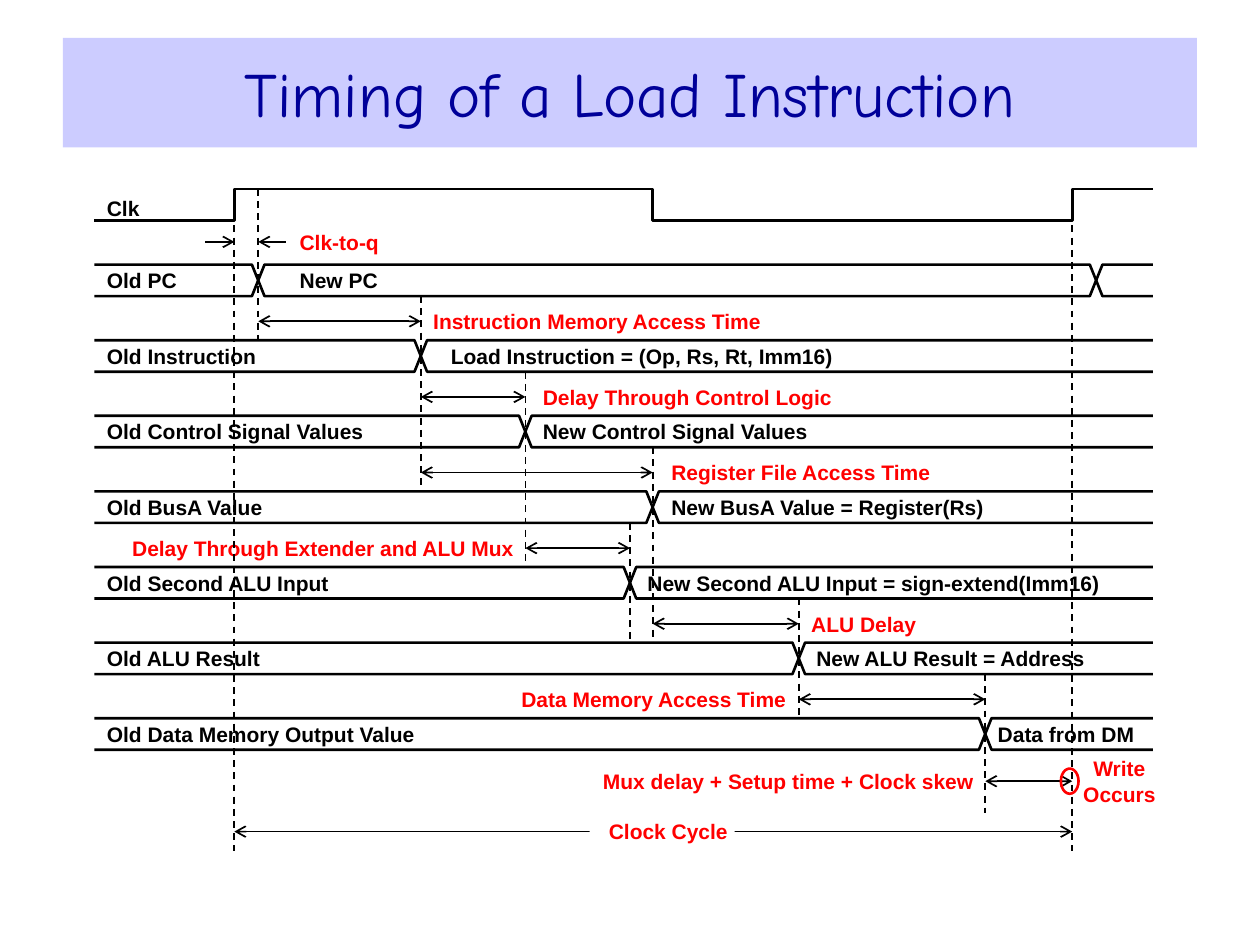
from dataclasses import dataclass

from lxml.etree import SubElement
from pptx import Presentation
from pptx.dml.color import RGBColor
from pptx.enum.dml import MSO_LINE
from pptx.enum.shapes import MSO_CONNECTOR, MSO_SHAPE
from pptx.enum.text import MSO_ANCHOR, PP_ALIGN
from pptx.oxml.ns import qn
from pptx.slide import Slide
from pptx.util import Cm, Pt


@dataclass(frozen=True)
class Theme:
    ink: RGBColor = RGBColor(0, 0, 0)
    accent: RGBColor = RGBColor(0xFF, 0, 0)
    paper: RGBColor = RGBColor(0xFF, 0xFF, 0xFF)
    banner: RGBColor = RGBColor(0xCC, 0xCC, 0xFF)
    title: RGBColor = RGBColor(0, 0, 0x99)
    title_font: str = "Comic Neue"
    label_font: str = "Arial"
    title_size: Pt = Pt(36)
    label_size: Pt = Pt(12)
    wave_width: Pt = Pt(1.5)
    thin_width: Pt = Pt(1)


@dataclass(frozen=True)
class Signal:
    old: str
    new: str
    new_left: float
    edges: tuple[float, ...]
    guide: tuple[float, float]


@dataclass(frozen=True)
class Delay:
    text: str
    left: float
    y: float
    start: float
    end: float
    width: float = 3.5
    align: PP_ALIGN = PP_ALIGN.LEFT


THEME = Theme()
GRID_CM = 2.54  # all positions below are in grid units of this size
LEFT, RIGHT = 0.75, 9.15
WAVE_HEIGHT, HALF_CROSSING = 0.25, 0.05
FIRST_ROW, ROW_PITCH = 2.1, 0.6
CLOCK_TOP, CYCLE_BOTTOM, CYCLE_Y = 1.5, 6.75, 6.6
RISE, FALL, NEXT_RISE = 1.86, 5.18, 8.51
PC, INSTRUCTION, CONTROL, EXTENDED, RESULT, MEMORY = 2.05, 3.34, 4.17, 5, 6.34, 7.82

SIGNALS = [
    Signal("Old PC", "New PC", 2.28, (PC, 8.7), (1.5, 2.7)),
    Signal("Old Instruction", "Load Instruction = (Op, Rs, Rt, Imm16)", 3.48,
           (INSTRUCTION,), (2.35, 3.9)),
    Signal("Old Control Signal Values", "New Control Signal Values", 4.21,
           (CONTROL,), (2.95, 4.5)),
    Signal("Old BusA Value", "New BusA Value = Register(Rs)", 5.23, (FALL,), (3.55, 5.1)),
    Signal("Old Second ALU Input", "New Second ALU Input = sign-extend(Imm16)", 5.04,
           (EXTENDED,), (4.15, 5.1)),
    Signal("Old ALU Result", "New ALU Result = Address", 6.38, (RESULT,), (4.75, 5.7)),
    Signal("Old Data Memory Output Value", "Data from DM", 7.82, (MEMORY,), (5.35, 6.45)),
]
DELAYS = [
    Delay("Instruction Memory Access Time", 3.34, 2.55, PC, INSTRUCTION),
    Delay("Delay Through Control Logic", 4.21, 3.15, INSTRUCTION, CONTROL),
    Delay("Register File Access Time", 5.23, 3.75, INSTRUCTION, FALL),
    Delay("Delay Through Extender and ALU Mux", 0.78, 4.35, CONTROL, EXTENDED,
          3.3, PP_ALIGN.RIGHT),
    Delay("ALU Delay", 6.34, 4.95, FALL, RESULT),
    Delay("Data Memory Access Time", 2.69, 5.55, RESULT, MEMORY, 3.55, PP_ALIGN.RIGHT),
    Delay("Mux delay + Setup time + Clock skew", 4.23, 6.2, MEMORY, NEXT_RISE,
          3.5, PP_ALIGN.RIGHT),
]


def grid(units: float) -> Cm:
    return Cm(units * GRID_CM)


def set_all(target: object, **values: object) -> None:
    for name, value in values.items():
        setattr(target, name, value)


def style_line(line, color: RGBColor, width: Pt) -> None:
    line.color.rgb = color
    line.width = width


def write(shape, text: str, align: PP_ALIGN, inset: float, **font: object) -> None:
    """Fill a shape with vertically centred lines of text."""
    frame = shape.text_frame
    set_all(frame, word_wrap=True, vertical_anchor=MSO_ANCHOR.MIDDLE, margin_left=grid(inset),
            margin_right=0, margin_top=0, margin_bottom=0)
    color = font.pop("color")
    frame.text = text
    for paragraph in frame.paragraphs:
        paragraph.alignment = align
        set_all(paragraph.font, **font)
        paragraph.font.color.rgb = color


def add_label(slide: Slide, text: str, left: float, middle: float, width: float = 4,
              color: RGBColor = THEME.ink, align: PP_ALIGN = PP_ALIGN.LEFT,
              height: float = 0.2):
    shape = slide.shapes.add_textbox(grid(left), grid(middle - height / 2),
                                     grid(width), grid(height))
    write(shape, text, align, 0.1, name=THEME.label_font, size=THEME.label_size,
          bold=True, color=color)
    return shape


def add_line(slide: Slide, start: tuple[float, float], end: tuple[float, float],
             dashed: bool = False, arrows: tuple[str, ...] = ()) -> None:
    """Draw a thin line; arrows names the ends to mark: headEnd, tailEnd."""
    connector = slide.shapes.add_connector(MSO_CONNECTOR.STRAIGHT, *map(grid, start + end))
    style_line(connector.line, THEME.ink, THEME.thin_width)
    if dashed:
        connector.line.dash_style = MSO_LINE.DASH
    for arrow in arrows:
        SubElement(connector.line._get_or_add_ln(), qn(f"a:{arrow}"), type="arrow")
    SubElement(connector._element.spPr, qn("a:effectLst"))


def add_wave(slide: Slide, points: list[tuple[float, float]]) -> None:
    corners = [(grid(x), grid(y)) for x, y in points]
    builder = slide.shapes.build_freeform(*corners[0])
    builder.add_line_segments(corners[1:], close=False)
    shape = builder.convert_to_shape()
    shape.shadow.inherit = False
    shape.fill.background()
    style_line(shape.line, THEME.ink, THEME.wave_width)


def add_signal(slide: Slide, signal: Signal, top: float) -> None:
    """Draw two rails that swap levels at each edge, with their values."""
    bottom = top + WAVE_HEIGHT
    for level, other in ((top, bottom), (bottom, top)):
        points = [(LEFT, level)]
        for edge in signal.edges:
            points += [(edge - HALF_CROSSING, level), (edge + HALF_CROSSING, other)]
            level, other = other, level
        add_wave(slide, points + [(RIGHT, level)])
    edge = signal.edges[0]
    add_line(slide, (edge, signal.guide[0]), (edge, signal.guide[1]), dashed=True)
    middle = top + WAVE_HEIGHT / 2
    add_label(slide, signal.old, LEFT, middle, 3)
    add_label(slide, signal.new, signal.new_left, middle, 9.9 - signal.new_left)


def add_span(slide: Slide, start: float, end: float, y: float) -> None:
    add_line(slide, (start, y), (end, y), arrows=("headEnd", "tailEnd"))


def add_delay(slide: Slide, delay: Delay) -> None:
    add_span(slide, delay.start, delay.end, delay.y)
    add_label(slide, delay.text, delay.left, delay.y, delay.width, THEME.accent, delay.align)


def add_title(slide: Slide) -> None:
    banner = slide.shapes.add_shape(MSO_SHAPE.RECTANGLE, *map(grid, (0.5, 0.3, 9, 0.87)))
    banner.shadow.inherit = False
    banner.fill.solid()
    banner.fill.fore_color.rgb = THEME.banner
    banner.line.fill.background()
    write(banner, "Timing of a Load Instruction", PP_ALIGN.CENTER, 0,
          name=THEME.title_font, size=THEME.title_size, color=THEME.title)


def add_clock(slide: Slide) -> None:
    high, low = CLOCK_TOP, CLOCK_TOP + WAVE_HEIGHT
    add_wave(slide, [(LEFT, low), (RISE, low), (RISE, high), (FALL, high),
                     (FALL, low), (NEXT_RISE, low), (NEXT_RISE, high), (RIGHT, high)])
    for edge in (RISE, NEXT_RISE):
        add_line(slide, (edge, high), (edge, CYCLE_BOTTOM), dashed=True)
    add_label(slide, "Clk", LEFT, 1.65, 1)
    for tip, tail in ((RISE, 1.63), (PC, 2.27)):
        add_line(slide, (tip, 1.92), (tail, 1.92), arrows=("headEnd",))
    add_label(slide, "Clk-to-q", 2.28, 1.92, 1, THEME.accent)
    add_span(slide, RISE, NEXT_RISE, CYCLE_Y)
    cycle = add_label(slide, "Clock Cycle", 4.68, CYCLE_Y, 1.15, THEME.accent,
                      PP_ALIGN.CENTER, 0.3)
    cycle.fill.solid()
    cycle.fill.fore_color.rgb = THEME.paper


def add_write_mark(slide: Slide) -> None:
    ring = slide.shapes.add_shape(MSO_SHAPE.OVAL, *map(grid, (8.42, 6.1, 0.14, 0.2)))
    ring.shadow.inherit = False
    ring.fill.background()
    style_line(ring.line, THEME.accent, THEME.wave_width)
    add_label(slide, "Write\nOccurs", 8.46, 6.2, 0.75, THEME.accent, PP_ALIGN.CENTER, 0.4)


def main() -> None:
    presentation = Presentation()
    set_all(presentation, slide_width=grid(10), slide_height=grid(7.5))
    slide = presentation.slides.add_slide(presentation.slide_layouts[6])
    add_title(slide)
    for index, signal in enumerate(SIGNALS):
        add_signal(slide, signal, FIRST_ROW + index * ROW_PITCH)
    for delay in DELAYS:
        add_delay(slide, delay)
    add_write_mark(slide)
    add_clock(slide)
    presentation.save("out.pptx")


if __name__ == "__main__":
    main()
